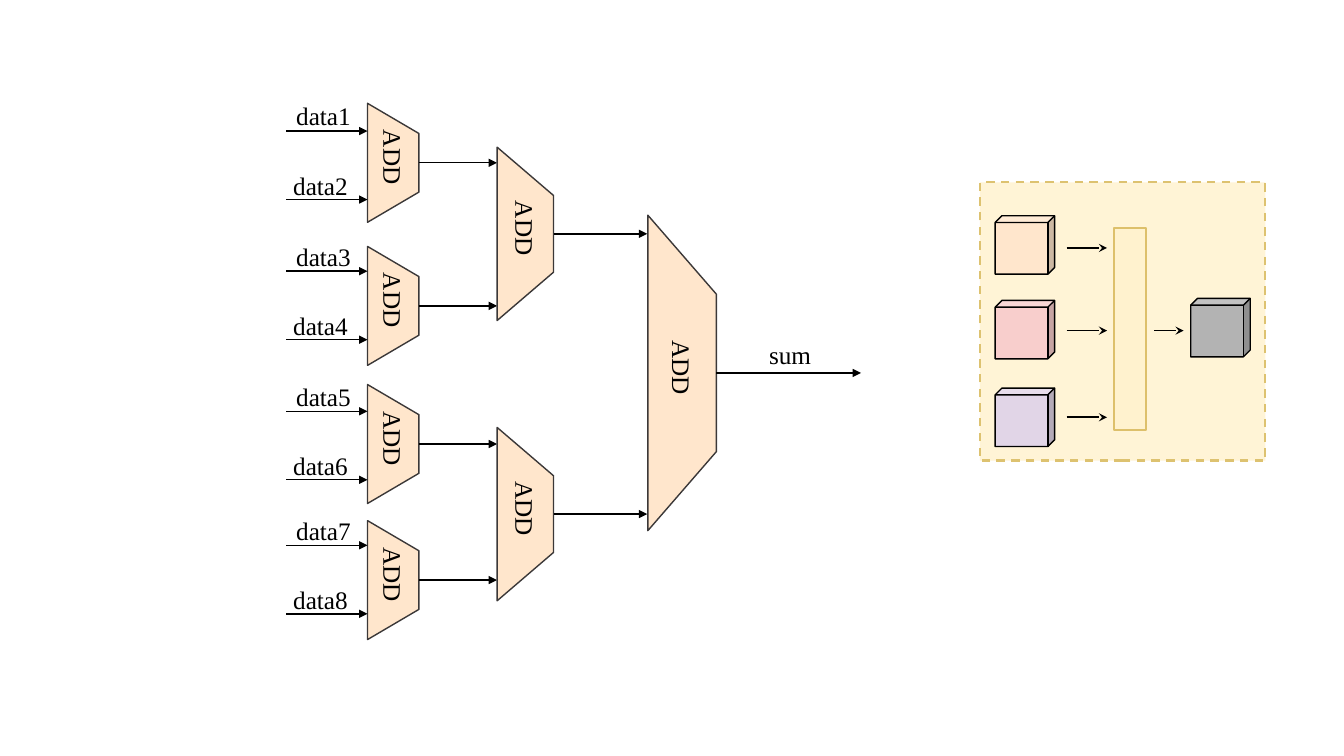
from dataclasses import dataclass

from lxml import etree
from pptx import Presentation
from pptx import util as u
from pptx.dml.color import RGBColor
from pptx.enum import dml, shapes, text
from pptx.oxml import ns

# The slide is a grid of square cells, 133.3 columns by 75 rows.
CELL = u.Inches(0.1)
COLUMNS, ROWS = 133.3, 75
FONT = "Times New Roman"
BLACK, PEACH = "000000", "FFE6CC"
LABEL_HEIGHT = 4
INPUT_LEFT, INPUT_GAP = 28.4, 6.8
CUBE_LEFT, CUBE_WIDTH, CUBE_HEIGHT = 98.7, 5.9, 5.8


@dataclass(frozen=True)
class Level:
    """Adders of equal shape in one column of the tree."""
    middle_column: float
    breadth: float
    depth: float
    slant: float
    output_end: float
    middle_rows: tuple[float, ...]


@dataclass(frozen=True)
class Cube:
    left: float
    top: float
    fill: str
    arrow_row: float


LEVELS = [
    Level(39, 11.8, 5.1, 0.587, 49.3, (16.15, 30.35, 44.05, 57.55)),
    Level(52.1, 17.2, 5.6, 0.857, 64.2, (23.2, 51)),
    Level(67.65, 31.3, 6.8, 1.153, 85.4, (37,)),
]
FIRST_INPUT_ROWS = (13, 26.9, 40.8, 54.1)
INPUT_CUBES = [
    Cube(CUBE_LEFT, 21.4, PEACH, 24.6),
    Cube(CUBE_LEFT, 29.8, "F8CECC", 32.8),
    Cube(CUBE_LEFT, 38.5, "E1D5E7", 41.4),
]


def cells(count: float) -> int:
    return round(count * CELL)


def color(value: str) -> RGBColor:
    return RGBColor.from_string(value)


def add_block(parent, kind, left: float, top: float, width: float, height: float,
              fill: str, line: str, weight: float = 1):
    shape = parent.add_shape(kind, *map(cells, (left, top, width, height)))
    shape.shadow.inherit = False
    shape.fill.solid()
    shape.fill.fore_color.rgb = color(fill)
    shape.line.color.rgb = color(line)
    shape.line.width = u.Pt(weight)
    return shape


def add_arrow(parent, start: float, end: float, row: float,
              head: str = "triangle", weight: float = 1) -> None:
    arrow = parent.add_connector(shapes.MSO_CONNECTOR.STRAIGHT,
                                 *map(cells, (start, row, end, row)))
    arrow.line.color.rgb = color(BLACK)
    arrow.line.width = u.Pt(weight)
    etree.SubElement(arrow.line._get_or_add_ln(), ns.qn("a:tailEnd"), type=head)
    etree.SubElement(arrow._element.spPr, ns.qn("a:effectLst"))


def add_label(parent, wording: str, left: float, top: float, width: float,
              rotation: float = 0) -> None:
    label = parent.add_textbox(*map(cells, (left, top, width, LABEL_HEIGHT)))
    label.rotation = rotation
    frame = label.text_frame
    frame.word_wrap = True
    frame.auto_size = text.MSO_AUTO_SIZE.SHAPE_TO_FIT_TEXT
    run = frame.paragraphs[0].add_run()
    run.text = wording
    run.font.name = FONT
    run.font.size = u.Pt(18)
    run.font.color.rgb = color(BLACK)


def add_adder(parent, level: Level, row: float) -> None:
    """Draw a trapezoid turned to the right, its caption and its output arrow."""
    column = level.middle_column
    adder = add_block(parent, shapes.MSO_SHAPE.TRAPEZOID,
                      column - level.breadth / 2, row - level.depth / 2,
                      level.breadth, level.depth, PEACH, "3B3838")
    adder.adjustments[0] = level.slant
    adder.rotation = 90
    caption_width = 8.5
    add_label(parent, "ADD", column - caption_width / 2, row - LABEL_HEIGHT / 2,
              caption_width, rotation=90)
    add_arrow(parent, column + level.depth / 2, level.output_end, row)


def add_inputs(parent) -> None:
    end = LEVELS[0].middle_column - LEVELS[0].depth / 2
    for pair, first_row in enumerate(FIRST_INPUT_ROWS):
        for place in range(2):
            row = first_row + place * INPUT_GAP
            add_arrow(parent, INPUT_LEFT, end, row)
            add_label(parent, f"data{2 * pair + place + 1}",
                      INPUT_LEFT - 0.3 * place, row - 3.5 + 0.1 * place, 8.6)


def add_cube(parent, cube: Cube) -> None:
    block = add_block(parent, shapes.MSO_SHAPE.CUBE, cube.left, cube.top,
                      CUBE_WIDTH, CUBE_HEIGHT, cube.fill, BLACK)
    block.adjustments[0] = 0.116


def add_merge_panel(parent) -> None:
    """Draw the dashed panel where three cubes pass a bar and become one."""
    rectangle = shapes.MSO_SHAPE.RECTANGLE
    panel = add_block(parent, rectangle, 97.2, 18.1, 28.3, 27.6,
                      "FFF4D6", "DDC270", 1.5)
    panel.line.dash_style = dml.MSO_LINE.DASH
    for cube in INPUT_CUBES:
        add_cube(parent, cube)
        add_arrow(parent, 105.8, 109.8, cube.arrow_row, "stealth", 1.25)
    add_block(parent, rectangle, 110.5, 22.6, 3.2, 20.1, "FFF2CE", "DDC06B", 1.5)
    result = Cube(118.1, 29.6, "B3B3B3", 32.8)
    add_cube(parent, result)
    add_arrow(parent, 114.5, 117.4, result.arrow_row, "stealth", 1.25)


def main() -> None:
    presentation = Presentation()
    presentation.slide_width = cells(COLUMNS)
    presentation.slide_height = cells(ROWS)
    slide = presentation.slides.add_slide(presentation.slide_layouts[6])
    for level in LEVELS:
        for row in level.middle_rows:
            add_adder(slide.shapes, level, row)
    add_inputs(slide.shapes)
    add_label(slide.shapes, "sum", 75.3, 33.2, 13.7)
    add_merge_panel(slide.shapes.add_group_shape().shapes)
    presentation.save("out.pptx")


if __name__ == "__main__":
    main()
